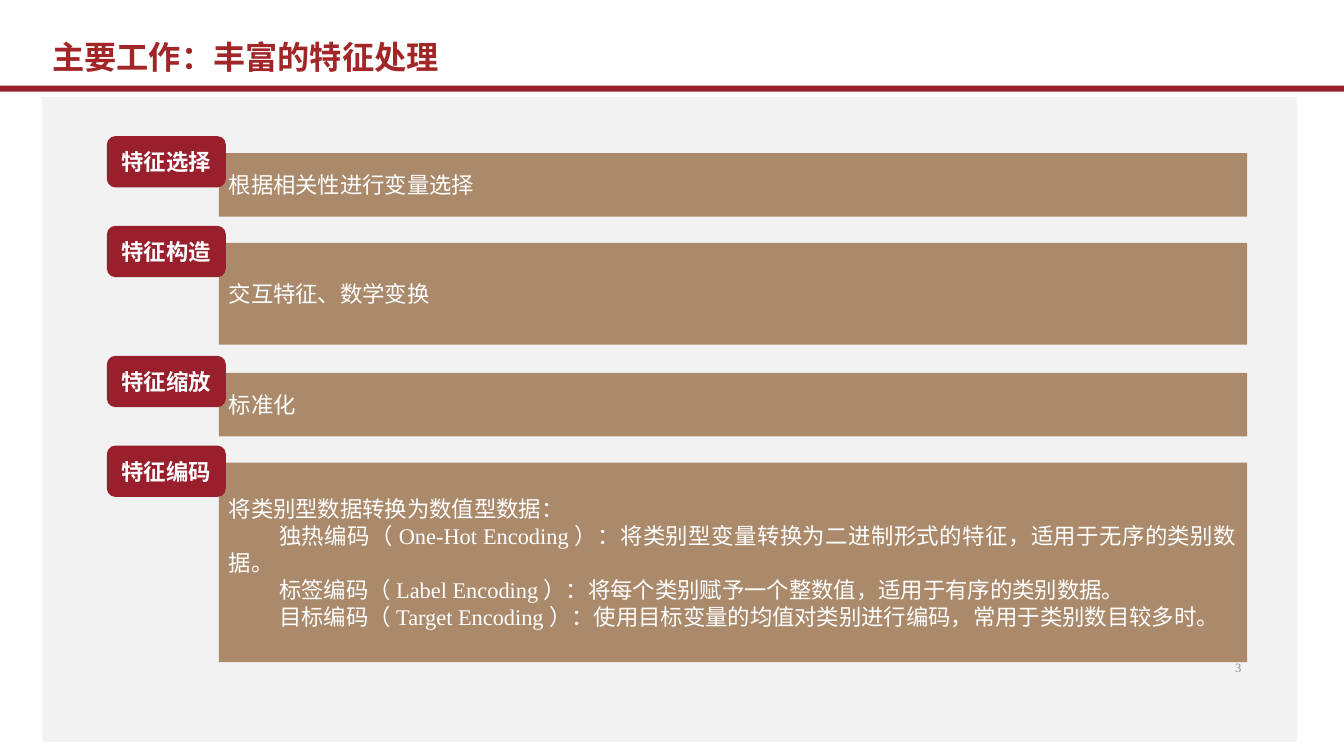
from pptx import Presentation
from pptx.dml.color import RGBColor
from pptx.enum.shapes import MSO_SHAPE
from pptx.enum.text import MSO_ANCHOR, PP_ALIGN
from pptx.util import Inches, Pt

RECTANGLE = MSO_SHAPE.RECTANGLE
ROUNDED = MSO_SHAPE.ROUNDED_RECTANGLE
MIDDLE = MSO_ANCHOR.MIDDLE
LEFT, CENTER, RIGHT, JUSTIFY = PP_ALIGN.LEFT, PP_ALIGN.CENTER, PP_ALIGN.RIGHT, PP_ALIGN.JUSTIFY

COLORS = {
    "crimson": "9A1F2C",
    "title": "A22628",
    "panel": "F2F2F2",
    "tan": "AB8A6C",
    "white": "FFFFFF",
    "gray": "8C8C8C",
}
FONT = "Times New Roman"

BAR_LEFT, BAR_WIDTH = 2.17, 10.2
BADGE_LEFT, BADGE_WIDTH, BADGE_HEIGHT, BADGE_RISE = 1.06, 1.18, 0.51, 0.17

FEATURE_STEPS = [
    ("特征选择", 1.52, 0.63, ["根据相关性进行变量选择"]),
    ("特征构造", 2.41, 1.01, ["交互特征、数学变换"]),
    ("特征缩放", 3.7, 0.63, ["标准化"]),
    ("特征编码", 4.59, 1.98, [
        "将类别型数据转换为数值型数据：",
        "独热编码（One-Hot Encoding）：将类别型变量转换为二进制形式的特征，适用于无序的类别数据。",
        "标签编码（Label Encoding）：将每个类别赋予一个整数值，适用于有序的类别数据。",
        "目标编码（Target Encoding）：使用目标变量的均值对类别进行编码，常用于类别数目较多时。",
    ]),
]


def write_text(box, lines, size=16, color="white", bold=False, align=LEFT, indent=0, spacing=1.0):
    frame = box.text_frame
    frame.word_wrap = True
    frame.vertical_anchor = MIDDLE
    for index, line in enumerate(lines):
        para = frame.add_paragraph() if index else frame.paragraphs[0]
        para.alignment = align
        para.line_spacing = spacing
        if index and indent:
            properties = para._p.get_or_add_pPr()
            properties.set("marL", "0")
            properties.set("indent", str(Inches(indent)))
        span = para.add_run()
        span.text = line
        span.font.name = FONT
        span.font.size = Pt(size)
        span.font.bold = bold
        span.font.color.rgb = RGBColor.from_string(COLORS[color])


class FeaturePage:
    """Draws the elements of one page in a shared style."""

    def __init__(self, page):
        self.page = page

    def block(self, left, top, width, height, color, kind=RECTANGLE, parent=None, outlined=False):
        shapes = (parent or self.page).shapes
        shape = shapes.add_shape(kind, Inches(left), Inches(top), Inches(width), Inches(height))
        shape.shadow.inherit = False
        shape.fill.solid()
        shape.fill.fore_color.rgb = RGBColor.from_string(COLORS[color])
        if outlined:
            shape.line.color.rgb = RGBColor.from_string(COLORS[color])
            shape.line.width = Pt(1)
        else:
            shape.line.fill.background()
        return shape

    def label(self, left, top, width, height, text, **style):
        box = self.page.shapes.add_textbox(Inches(left), Inches(top), Inches(width), Inches(height))
        write_text(box, [text], **style)

    def step(self, name, top, height, lines):
        group = self.page.shapes.add_group_shape()
        bar = self.block(BAR_LEFT, top, BAR_WIDTH, height, "tan", parent=group)
        write_text(bar, lines, align=JUSTIFY, indent=0.5)
        badge = self.block(BADGE_LEFT, top - BADGE_RISE, BADGE_WIDTH, BADGE_HEIGHT,
                           "crimson", kind=ROUNDED, parent=group)
        write_text(badge, [name], bold=True, align=CENTER)


def main():
    deck = Presentation()
    deck.slide_width, deck.slide_height = Inches(13.33), Inches(7.5)
    page = FeaturePage(deck.slides.add_slide(deck.slide_layouts[6]))
    page.block(0, 0.85, 13.33, 0.06, "crimson")
    page.label(0.42, 0.39, 11.5, 0.4, "主要工作：丰富的特征处理",
               size=23, color="title", bold=True, spacing=0.9)
    page.block(0.42, 0.97, 12.44, 6.38, "panel", outlined=True)
    page.label(12.07, 6.42, 0.34, 0.4, "3", size=9, color="gray", align=RIGHT)
    for name, top, height, lines in FEATURE_STEPS:
        page.step(name, top, height, lines)
    deck.save("out.pptx")


if __name__ == "__main__":
    main()
